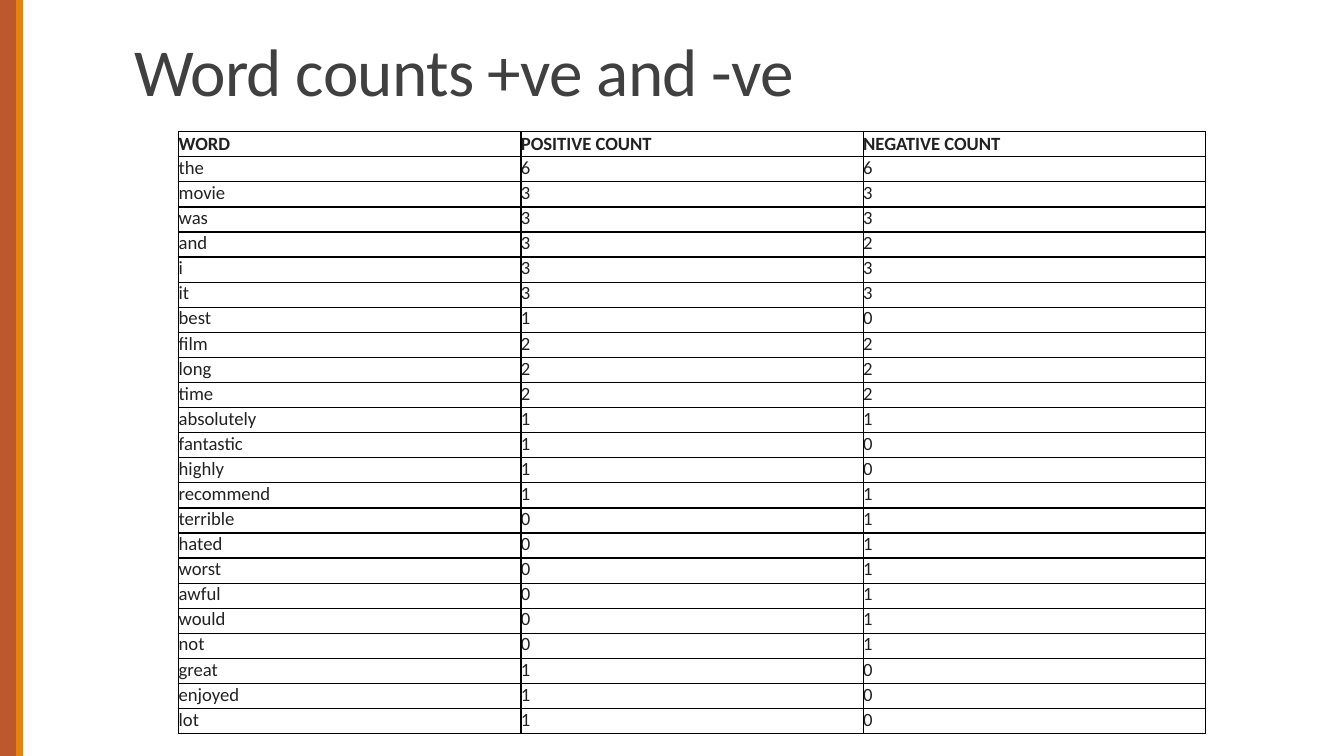
from dataclasses import dataclass

from lxml import etree
from pptx import Presentation
from pptx.dml.color import RGBColor
from pptx.enum import shapes, text
from pptx.oxml import ns
from pptx.util import Inches, Pt


@dataclass(frozen=True)
class Theme:
    font: str = "Calibri"
    brown: str = "BD582C"
    orange: str = "E48312"
    title_color: str = "404040"
    cell_color: str = "222222"
    border_color: str = "000000"
    title_size: float = 36
    cell_size: float = 10
    border_width: float = 0.75


THEME = Theme()
SLIDE_WIDTH = 10
SLIDE_HEIGHT = SLIDE_WIDTH * 9 / 16

HEADINGS = ("WORD", "POSITIVE COUNT", "NEGATIVE COUNT")
WORD_COUNTS = [
    ("the", 6, 6),
    ("movie", 3, 3),
    ("was", 3, 3),
    ("and", 3, 2),
    ("i", 3, 3),
    ("it", 3, 3),
    ("best", 1, 0),
    ("film", 2, 2),
    ("long", 2, 2),
    ("time", 2, 2),
    ("absolutely", 1, 1),
    ("fantastic", 1, 0),
    ("highly", 1, 0),
    ("recommend", 1, 1),
    ("terrible", 0, 1),
    ("hated", 0, 1),
    ("worst", 0, 1),
    ("awful", 0, 1),
    ("would", 0, 1),
    ("not", 0, 1),
    ("great", 1, 0),
    ("enjoyed", 1, 0),
    ("lot", 1, 0),
]


def write_text(frame, content, *, size, color, bold=False, line_spacing=None, tracking=None):
    """Put one formatted run in the frame; tracking is in points."""
    paragraph = frame.paragraphs[0]
    if line_spacing:
        paragraph.line_spacing = line_spacing
    run = paragraph.add_run()
    run.text = content
    run.font.name = THEME.font
    run.font.size = Pt(size)
    run.font.bold = bold
    run.font.color.rgb = RGBColor.from_string(color)
    if tracking is not None:
        run.font._element.set("spc", str(round(tracking * 100)))


def add_side_stripes(slide, left, top, width, height):
    """Fill the box with a wide brown stripe and a narrow orange one."""
    orange_width = 0.05
    brown_width = width - orange_width
    stripes = (
        (left, brown_width, THEME.brown),
        (left + brown_width, orange_width, THEME.orange),
    )
    for stripe_left, stripe_width, color in stripes:
        stripe = slide.shapes.add_shape(
            shapes.MSO_SHAPE.RECTANGLE,
            Inches(stripe_left), Inches(top), Inches(stripe_width), Inches(height))
        stripe.shadow.inherit = False
        stripe.fill.solid()
        stripe.fill.fore_color.rgb = RGBColor.from_string(color)
        stripe.line.fill.background()


def add_title(slide, content, left, top, width, height):
    title = slide.shapes.add_textbox(Inches(left), Inches(top), Inches(width), Inches(height))
    frame = title.text_frame
    frame.word_wrap = True
    frame.vertical_anchor = text.MSO_ANCHOR.BOTTOM
    write_text(frame, content, size=THEME.title_size, color=THEME.title_color,
               line_spacing=0.85, tracking=-0.4)


def set_borders(cell):
    properties = cell._tc.get_or_add_tcPr()
    for side in ("lnL", "lnR", "lnT", "lnB"):
        line = etree.SubElement(properties, ns.qn(f"a:{side}"), w=str(Pt(THEME.border_width)))
        fill = etree.SubElement(line, ns.qn("a:solidFill"))
        etree.SubElement(fill, ns.qn("a:srgbClr"), val=THEME.border_color)


def add_count_table(slide, headings, records, left, top, width, height):
    rows = [headings, *records]
    table = slide.shapes.add_table(
        len(rows), len(headings),
        Inches(left), Inches(top), Inches(width), Inches(height)).table
    table.first_row = table.horz_banding = False
    for row in table.rows:
        row.height = Inches(height / len(rows))
    for row_index, values in enumerate(rows):
        is_heading = row_index == 0
        for column_index, value in enumerate(values):
            cell = table.cell(row_index, column_index)
            cell.margin_left = cell.margin_right = cell.margin_top = cell.margin_bottom = 0
            cell.vertical_anchor = text.MSO_ANCHOR.MIDDLE if is_heading else text.MSO_ANCHOR.TOP
            set_borders(cell)
            cell.fill.background()
            write_text(cell.text_frame, str(value), size=THEME.cell_size,
                       color=THEME.cell_color, bold=is_heading)


def main():
    presentation = Presentation()
    presentation.slide_width = Inches(SLIDE_WIDTH)
    presentation.slide_height = Inches(SLIDE_HEIGHT)
    slide = presentation.slides.add_slide(presentation.slide_layouts[6])
    add_side_stripes(slide, 0, 0, 0.17, SLIDE_HEIGHT)
    add_title(slide, "Word counts +ve and -ve", 0.9, 0.13, 8.25, 0.74)
    add_count_table(slide, HEADINGS, WORD_COUNTS, 1.33, 0.98, 7.64, 4.48)
    presentation.save("out.pptx")


if __name__ == "__main__":
    main()
